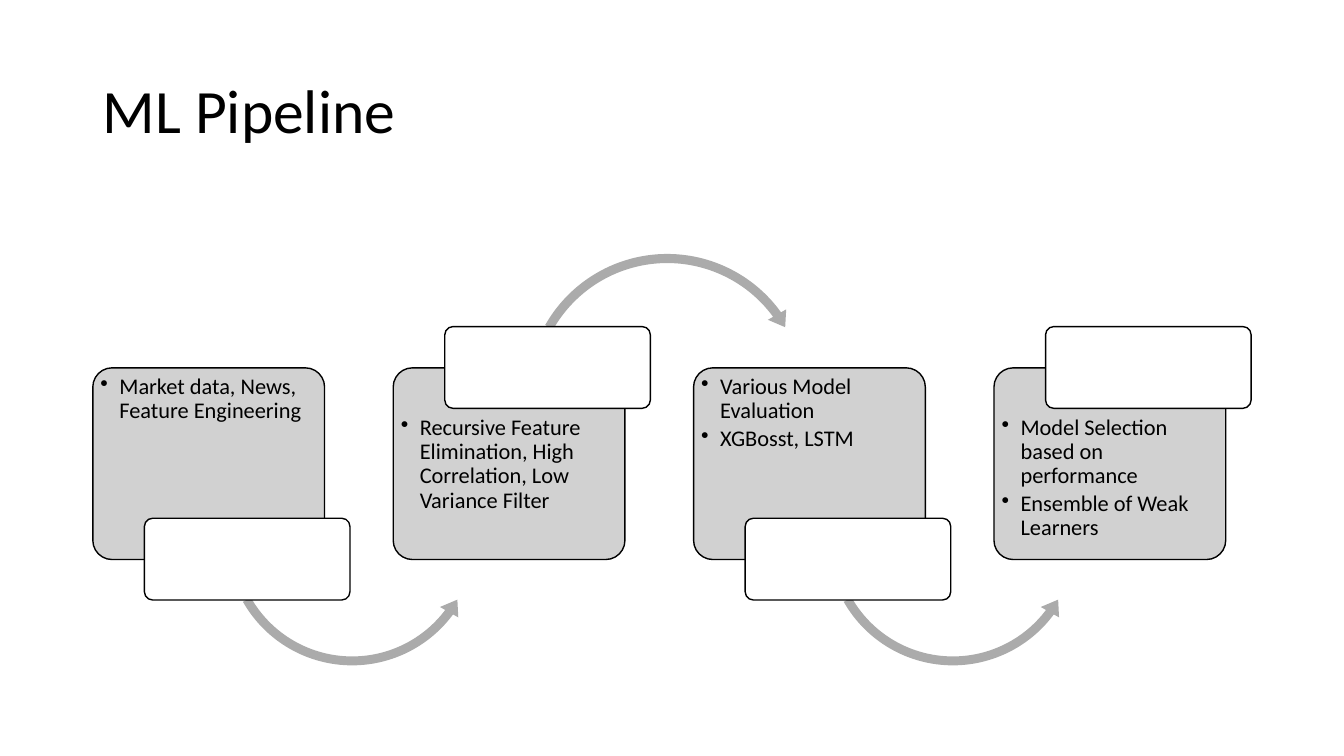
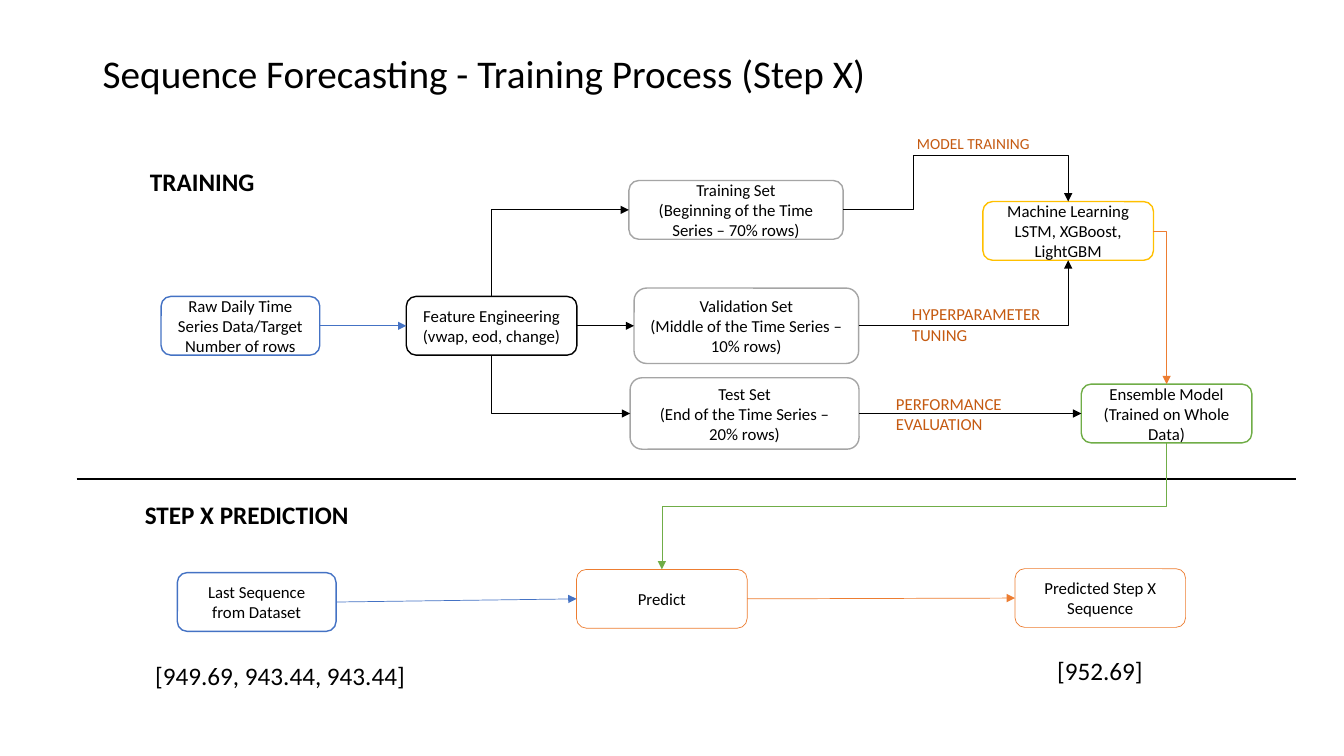
"""Build two slides: a machine learning pipeline and its training process."""
import math

import lxml.etree
import pptx
import pptx.dml.color
import pptx.enum.shapes
import pptx.enum.text
import pptx.oxml.ns
import pptx.util

Cm = pptx.util.Cm
Pt = pptx.util.Pt
RGBColor = pptx.dml.color.RGBColor
SHAPE = pptx.enum.shapes.MSO_SHAPE
CONNECTOR = pptx.enum.shapes.MSO_CONNECTOR
ANCHOR = pptx.enum.text.MSO_ANCHOR
ALIGN = pptx.enum.text.PP_ALIGN
qn = pptx.oxml.ns.qn

BLACK = RGBColor(0x00, 0x00, 0x00)
WHITE = RGBColor(0xFF, 0xFF, 0xFF)
PANEL_GRAY = RGBColor(0xCC, 0xCC, 0xCC)
ARROW_GRAY = RGBColor(0xAB, 0xAB, 0xAB)
BLUE = RGBColor(0x44, 0x72, 0xC4)
GRAY = RGBColor(0xA5, 0xA5, 0xA5)
GREEN = RGBColor(0x70, 0xAD, 0x47)
YELLOW = RGBColor(0xFF, 0xC0, 0x00)
ORANGE = RGBColor(0xED, 0x7D, 0x31)
RUST = RGBColor(0xC5, 0x5A, 0x11)

TOP, LEFT, BOTTOM, RIGHT = range(4)
TITLE_FRAME = {"vertical_anchor": ANCHOR.MIDDLE}
TITLE_PARA = {"line_spacing": 0.9}
BLOCK_FRAME = {"vertical_anchor": ANCHOR.MIDDLE}
BLOCK_PARA = {"alignment": ALIGN.CENTER}
BULLET_PARA = {"alignment": ALIGN.LEFT, "line_spacing": 0.9, "space_after": Pt(2.4)}


def write(box, lines, size, frame_format, para_format, color=BLACK, bold=False):
    """Fill a shape with one paragraph per line."""
    frame = box.text_frame
    for name, value in {"word_wrap": True, **frame_format}.items():
        setattr(frame, name, value)
    font_format = {"name": "Calibri", "size": Pt(size), "bold": bold}
    for index, line in enumerate(lines):
        para = frame.add_paragraph() if index else frame.paragraphs[0]
        for name, value in para_format.items():
            setattr(para, name, value)
        span = para.add_run()
        span.text = line
        for name, value in font_format.items():
            setattr(span.font, name, value)
        span.font.color.rgb = color


def draw(page, kind, place, fill, outline=None, weight=1.0):
    """Add a flat shape, its place given in centimetres."""
    shape = page.shapes.add_shape(kind, *map(Cm, place))
    shape.shadow.inherit = False
    shape.fill.solid()
    shape.fill.fore_color.rgb = fill
    if outline is None:
        shape.line.fill.background()
    else:
        shape.line.color.rgb = outline
        shape.line.width = Pt(weight)
    return shape


deck = pptx.Presentation()
deck.slide_width = Cm(33.87)
deck.slide_height = Cm(19.05)

pages = []
for title, size, height in [
    ("ML Pipeline", 44, 3.68),
    ("Sequence Forecasting - Training Process (Step X)", 28, 1.8),
]:
    page = deck.slides.add_slide(deck.slide_layouts[6])
    box = page.shapes.add_textbox(Cm(2.34), Cm(1.02), Cm(29.21), Cm(height))
    write(box, [title], size, TITLE_FRAME, TITLE_PARA)
    pages.append(page)
pipeline, training = pages

stages = [
    ["Market data, News, Feature Engineering"],
    ["Recursive Feature Elimination, High Correlation, Low Variance Filter"],
    ["Various Model Evaluation", "XGBosst, LSTM"],
    ["Model Selection based on performance", "Ensemble of Weak Learners"],
]
under_arrow = (SHAPE.LEFT_CIRCULAR_ARROW, 10.29, 6.63, (0.034, 4.265, 22.02, 90.245, 0.04))
over_arrow = (SHAPE.CIRCULAR_ARROW, 6.25, 7.37, (0.031, 3.802, 194.443, 125.755, 0.036))

for index, lines in enumerate(stages):
    label_above = index % 2 == 1
    left = 2.34 + 7.57 * index
    panel = draw(pipeline, SHAPE.ROUNDED_RECTANGLE, (left, 9.27, 5.84, 4.83), PANEL_GRAY, BLACK)
    panel.adjustments[0] = 0.1
    tint = panel.element.spPr.find(".//" + qn("a:srgbClr"))
    lxml.etree.SubElement(tint, qn("a:alpha"), val="90000")
    panel_frame = {
        "vertical_anchor": ANCHOR.TOP,
        "margin_left": Cm(0.05),
        "margin_right": Cm(0.05),
        "margin_top": Cm(1.08 if label_above else 0.05),
        "margin_bottom": Cm(0.05),
    }
    write(panel, lines, 16, panel_frame, BULLET_PARA)
    for para in panel.text_frame.paragraphs:
        properties = para._p.get_or_add_pPr()
        properties.set("marL", str(Cm(0.48)))
        properties.set("indent", str(-Cm(0.48)))
        lxml.etree.SubElement(properties, qn("a:buChar"), char="•")

    if index < len(stages) - 1:
        kind, top, side, bends = over_arrow if label_above else under_arrow
        arrow = draw(pipeline, kind, (left + 3.22, top, side, side), ARROW_GRAY)
        for position, bend in enumerate(bends):
            arrow.adjustments[position] = bend

    label_top = 8.23 if label_above else 13.06
    label = draw(pipeline, SHAPE.ROUNDED_RECTANGLE, (left + 1.3, label_top, 5.18, 2.06), WHITE, BLACK)
    label.adjustments[0] = 0.1

divider = training.shapes.add_connector(CONNECTOR.STRAIGHT, Cm(1.93), Cm(12.07), Cm(32.66), Cm(12.07))
divider.line.color.rgb = BLACK
divider.line.width = Pt(1.5)
lxml.etree.SubElement(divider.element.spPr, qn("a:effectLst"))

blocks = {}
for name, place, outline, weight, lines in [
    ("raw", (4.06, 7.47, 4, 1.48), BLUE, 1, ["Raw Daily Time Series Data/Target", "Number of rows"]),
    ("features", (10.24, 7.47, 4.3, 1.48), BLACK, 1, ["Feature Engineering", "(vwap, eod, change)"]),
    ("train", (15.85, 4.55, 5.4, 1.48), GRAY, 1,
     ["Training Set", "(Beginning of the Time Series – 70% rows)"]),
    ("ensemble", (27.25, 9.68, 4.3, 1.48), GREEN, 1, ["Ensemble Model", "(Trained on Whole Data)"]),
    ("test", (15.88, 9.52, 5.77, 1.8), GRAY, 1, ["Test Set", "(End of the Time Series – 20% rows)"]),
    ("learner", (24.77, 5.08, 4.3, 1.48), YELLOW, 1, ["Machine Learning", "LSTM, XGBoost, LightGBM"]),
    ("validation", (15.98, 7.26, 5.66, 1.9), GRAY, 1,
     ["Validation Set", "(Middle of the Time Series – 10% rows)"]),
    ("last", (4.47, 14.43, 4, 1.48), BLUE, 1, ["Last Sequence from Dataset"]),
    ("predict", (14.53, 14.35, 4.3, 1.48), ORANGE, 0.5, ["Predict"]),
    ("predicted", (25.58, 14.33, 4.3, 1.48), ORANGE, 0.5, ["Predicted Step X Sequence"]),
]:
    blocks[name] = draw(training, SHAPE.ROUNDED_RECTANGLE, place, WHITE, outline, weight)
    write(blocks[name], lines, 12, BLOCK_FRAME, BLOCK_PARA)

for start, start_side, end, end_side, color, preset, turn, bends in [
    ("raw", RIGHT, "features", LEFT, BLUE, "line", 0, ()),
    ("features", RIGHT, "validation", LEFT, BLACK, "line", 0, ()),
    ("validation", RIGHT, "learner", BOTTOM, BLACK, "bentConnector2", 0, ()),
    ("train", RIGHT, "learner", TOP, BLACK, "bentConnector4", 0, (0.31, 6.57)),
    ("features", TOP, "train", LEFT, BLACK, "bentConnector2", 90, ()),
    ("features", BOTTOM, "test", LEFT, BLACK, "bentConnector2", 270, ()),
    ("learner", RIGHT, "ensemble", TOP, ORANGE, "bentConnector2", 0, ()),
    ("ensemble", BOTTOM, "predict", TOP, GREEN, "bentConnector3", 90, (0.5,)),
    ("last", RIGHT, "predict", LEFT, BLUE, "line", 0, ()),
    ("predict", RIGHT, "predicted", LEFT, ORANGE, "line", 0, ()),
    ("test", RIGHT, "ensemble", LEFT, BLACK, "line", 0, ()),
]:
    kind = CONNECTOR.STRAIGHT if preset == "line" else CONNECTOR.ELBOW
    link = training.shapes.add_connector(kind, 0, 0, 0, 0)
    link.begin_connect(blocks[start], start_side)
    link.end_connect(blocks[end], end_side)
    properties = link.element.spPr
    if turn:
        sign = round(math.sin(math.radians(turn)))
        middle_x = (link.begin_x + link.end_x) // 2
        middle_y = (link.begin_y + link.end_y) // 2
        across = sign * (link.begin_y - middle_y)
        down = -sign * (link.begin_x - middle_x)
        link.begin_x, link.begin_y = middle_x + across, middle_y + down
        link.end_x, link.end_y = middle_x - across, middle_y - down
        properties.find(qn("a:xfrm")).set("rot", str(turn * 60000))
    geometry = properties.find(qn("a:prstGeom"))
    geometry.set("prst", preset)
    for number, bend in enumerate(bends, 1):
        formula = f"val {round(bend * 100000)}"
        lxml.etree.SubElement(geometry.find(qn("a:avLst")), qn("a:gd"), name=f"adj{number}", fmla=formula)
    link.line.color.rgb = color
    link.line.width = Pt(0.5)
    lxml.etree.SubElement(properties.find(qn("a:ln")), qn("a:tailEnd"), type="triangle")
    lxml.etree.SubElement(properties, qn("a:effectLst"))

for text, place, size, color, bold in [
    ("TRAINING", (3.53, 4.06, 3.4, 1.02), 18, BLACK, True),
    ("STEP X PREDICTION", (3.4, 12.45, 7.57, 1.02), 18, BLACK, True),
    ("MODEL TRAINING", (22.86, 3.25, 4.06, 0.74), 11, RUST, False),
    ("HYPERPARAMETER TUNING", (22.73, 7.54, 4.06, 1.27), 12, RUST, False),
    ("PERFORMANCE EVALUATION", (22.33, 9.8, 4.06, 1.27), 12, RUST, False),
    ("[949.69, 943.44, 943.44]", (3.66, 16.51, 7.09, 1.02), 18, BLACK, False),
    ("[952.69]", (26.39, 16.38, 3, 1.02), 18, BLACK, False),
]:
    box = training.shapes.add_textbox(*map(Cm, place))
    write(box, [text], size, {}, {}, color, bold)

deck.save("out.pptx")
